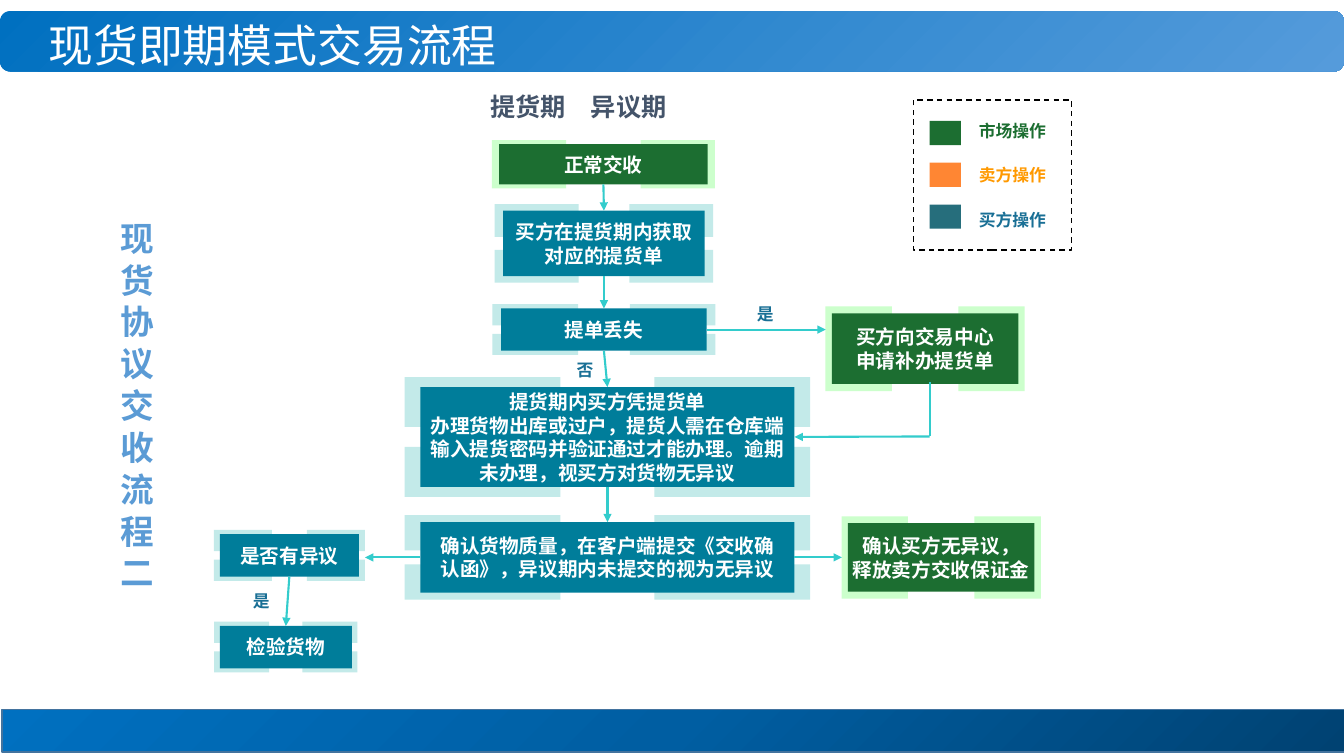
from dataclasses import dataclass
from typing import Optional, Union

from lxml.etree import SubElement
from pptx import Presentation
from pptx.dml.color import RGBColor
from pptx.enum.dml import MSO_LINE
from pptx.enum.shapes import MSO_CONNECTOR, MSO_SHAPE
from pptx.enum.text import MSO_ANCHOR as Anchor, PP_ALIGN as Align
from pptx.oxml import parse_xml
from pptx.oxml.ns import nsdecls, qn
from pptx.util import Inches, Pt

# The grid: cells of a tenth of an inch
CELL = Inches(0.1)
COLUMNS, ROWS = 133.3, 75
FONT = "Noto Sans CJK SC"
WHITE, ARROW, BLUE_LABEL = "FFFFFF", "33CCCC", "196F95"
TOP, LEFT, BOTTOM, RIGHT = range(4)


@dataclass(frozen=True)
class Role:
    fill: str
    halo: str
    pad: float  # halo overhang, share of the box width
    strip_width: float  # share of the halo width
    strip_height: float  # share of the halo height


MARKET = Role("1C6E31", "CCFFCC", 0.034, 1 / 3, 1)
BUYER = Role("007D9A", "C3EAE9", 0.042, 0.384, 5 / 12)


@dataclass(frozen=True)
class Step:
    name: str
    role: Role
    column: float
    row: float
    columns: float
    rows: float
    text: str


@dataclass(frozen=True)
class Joint:
    step: str
    side: int


@dataclass(frozen=True)
class Point:
    column: float
    row: float


@dataclass(frozen=True)
class Link:
    start: Union[Joint, Point]
    end: Union[Joint, Point]
    arrow: bool = True


@dataclass(frozen=True)
class Label:
    column: float
    row: float
    columns: float
    rows: float
    text: str
    size: float
    color: str
    bold: bool = True


STEPS = [
    Step("deliver", MARKET, 49.5, 14.3, 20.7, 4, "正常交收"),
    Step("slip", BUYER, 49.9, 20.9, 20, 6.5, "买方在提货期内获取\n对应的提货单"),
    Step("lost", BUYER, 49.7, 30.6, 20.4, 4.2, "提单丢失"),
    Step("reissue", MARKET, 82.5, 31.1, 18.5, 7, "买方向交易中心\n申请补办提货单"),
    Step("pickup", BUYER, 41.7, 38.4, 37.1, 9.9,
         "提货期内买方凭提货单\n办理货物出库或过户，提货人需在仓库端\n"
         "输入提货密码并验证通过才能办理。逾期\n未办理，视买方对货物无异议"),
    Step("confirm", BUYER, 41.7, 51.8, 37.1, 7,
         "确认货物质量，在客户端提交《交收确\n认函》，异议期内未提交的视为无异议"),
    Step("release", MARKET, 84.1, 51.9, 18.5, 6.8, "确认买方无异议，\n释放卖方交收保证金"),
    Step("objection", BUYER, 21.8, 53, 13.8, 4.2, "是否有异议"),
    Step("inspect", BUYER, 21.8, 62.1, 13.1, 4.2, "检验货物"),
]
CORNER = Point(92.2, 43.3)
LINKS = [
    *(Link(Joint(first, BOTTOM), Joint(second, TOP)) for first, second in [
        ("deliver", "slip"), ("slip", "lost"), ("lost", "pickup"),
        ("pickup", "confirm"), ("objection", "inspect")]),
    Link(Joint("lost", RIGHT), Point(81.9, 32.7)),
    Link(Joint("confirm", RIGHT), Point(83.5, 55.3)),
    Link(Joint("confirm", LEFT), Point(36.2, 55.3)),
    Link(Point(CORNER.column, 37.9), CORNER, arrow=False),
    Link(CORNER, Joint("pickup", RIGHT)),
]
ANSWERS = [("是", 74.1, 29.6), ("是", 24.1, 58.1), ("否", 56.2, 35.2)]
LEGEND = [("市场操作", "1C6E31", "1C6E31"), ("卖方操作", "FF8633", "FF9900"),
          ("买方操作", "266E7C", BLUE_LABEL)]


def cells(*counts: float) -> list[int]:
    return [round(count * CELL) for count in counts]


def rgb(color: str) -> RGBColor:
    return RGBColor.from_string(color)


def write(shape, text: str, size: float, color: str, bold: bool = True,
          align=Align.LEFT, wrap: bool = False) -> None:
    frame = shape.text_frame
    frame.word_wrap = wrap
    frame.text = text
    for paragraph in frame.paragraphs:
        paragraph.alignment = align
        paragraph.line_spacing = Pt(1.2 * size)
        font = paragraph.font
        font.size, font.bold, font.name = Pt(size), bold, FONT
        font.color.rgb = rgb(color)
        defaults = paragraph._p.pPr.find(qn("a:defRPr"))
        SubElement(defaults, qn("a:ea")).set("typeface", FONT)


def add_box(shapes, column: float, row: float, columns: float, rows: float,
            fill: Optional[str] = None, preset=MSO_SHAPE.RECTANGLE):
    shape = shapes.add_shape(preset, *cells(column, row, columns, rows))
    shape.shadow.inherit = False
    shape.line.fill.background()
    if fill:
        shape.fill.solid()
        shape.fill.fore_color.rgb = rgb(fill)
    return shape


def add_label(shapes, label: Label, wrap: bool = False):
    box = shapes.add_textbox(*cells(label.column, label.row, label.columns, label.rows))
    write(box, label.text, label.size, label.color, label.bold, wrap=wrap)
    return box


def fill_gradient(shape, stops: list[tuple[int, str]], direction: str) -> None:
    marks = "".join(f'<a:gs pos="{share * 1000}"><a:srgbClr val="{color}"/></a:gs>'
                    for share, color in stops)
    shape._element.spPr.insert(2, parse_xml(
        f'<a:gradFill {nsdecls("a")} rotWithShape="1"><a:gsLst>{marks}</a:gsLst>'
        f"{direction}</a:gradFill>"))


def add_step(shapes, step: Step):
    role = step.role
    pad_x, pad_y = step.columns * role.pad, step.rows * 0.1
    halo_width, halo_height = step.columns + 2 * pad_x, step.rows + 2 * pad_y
    width, height = halo_width * role.strip_width, halo_height * role.strip_height
    # Halo strips: two full-height sides or four corners
    for x in (0, halo_width - width):
        for y in sorted({0, halo_height - height}):
            add_box(shapes, step.column - pad_x + x, step.row - pad_y + y,
                    width, height, role.halo)
    box = add_box(shapes, step.column, step.row, step.columns, step.rows, role.fill)
    box.text_frame.vertical_anchor = Anchor.MIDDLE
    write(box, step.text, 14, WHITE, align=Align.CENTER)
    return box


def add_link(shapes, link: Link, boxes: dict) -> None:
    line = shapes.add_connector(MSO_CONNECTOR.STRAIGHT, 0, 0, 0, 0)
    if isinstance(link.start, Joint):
        line.begin_connect(boxes[link.start.step], link.start.side)
    else:
        line.begin_x, line.begin_y = cells(link.start.column, link.start.row)
    if isinstance(link.end, Joint):
        line.end_connect(boxes[link.end.step], link.end.side)
    else:
        line.end_x, line.end_y = cells(link.end.column, link.end.row)
    line.line.color.rgb = rgb(ARROW)
    line.line.width = Pt(1.5)
    if link.arrow:
        SubElement(line.line._get_or_add_ln(), qn("a:tailEnd")).set("type", "triangle")
    SubElement(line._element.spPr, qn("a:effectLst"))


def main() -> None:
    presentation = Presentation()
    presentation.slide_width, presentation.slide_height = cells(COLUMNS, ROWS)
    shapes = presentation.slides.add_slide(presentation.slide_layouts[6]).shapes

    # Title band and footer band
    band = add_box(shapes, 0, 1.1, COLUMNS, 6, preset=MSO_SHAPE.ROUNDED_RECTANGLE)
    fill_gradient(band, [(0, "0070C0"), (100, "559BDB")], '<a:lin ang="2700000" scaled="0"/>')
    title = add_label(shapes, Label(3.4, 0.6, 94.3, 7.6, "现货即期模式交易流程", 32, WHITE, False), True)
    frame = title.text_frame
    frame.vertical_anchor = Anchor.MIDDLE
    frame.margin_left = frame.margin_right = Inches(0.14)
    frame.margin_top = frame.margin_bottom = 0
    footer = add_box(shapes, 0.2, 70.4, COLUMNS, 4.2)
    footer.line.color.rgb = rgb("43739E")
    footer.line.width = Pt(1)
    fill_gradient(footer, [(0, "004272"), (50, "005EA2"), (100, "0070C0")],
                  '<a:path path="circle"><a:fillToRect l="100000" t="100000"/></a:path>')

    # Vertical caption and period heading
    caption = add_label(shapes, Label(9.9, 20.7, 6.1, 41.2, "现 货 协 议 交 收 流 程 二", 24, "5B9BD5"), True)
    caption.text_frame._txBody.bodyPr.set("vert", "eaVert")
    caption.text_frame.margin_top = Inches(0.13)
    periods = shapes.add_textbox(*cells(37.9, 8.6, 41.1, 4))
    periods.text_frame.margin_left = Inches(1.07)
    properties = periods.text_frame.paragraphs[0]._p.get_or_add_pPr()
    tab = SubElement(SubElement(properties, qn("a:tabLst")), qn("a:tab"))
    tab.set("pos", str(Inches(1.21)))
    tab.set("algn", "l")
    write(periods, "提货期\t异议期", 18, "44546A", wrap=True)

    # Legend
    border = add_box(shapes, 90.6, 9.9, 15.7, 14.9)
    border.fill.background()
    border.line.color.rgb = rgb("000000")
    border.line.width = Pt(1)
    border.line.dash_style = MSO_LINE.DASH
    for index, (text, fill, color) in enumerate(LEGEND):
        add_box(shapes, 92.2, 12 + 4.15 * index, 3.1, 2.4, fill)
        add_label(shapes, Label(96.1, 11.5 + 4.4 * index, 8.8, 3, text, 12, color))

    # Flow chart
    boxes = {step.name: add_step(shapes, step) for step in STEPS}
    for link in LINKS:
        add_link(shapes, link, boxes)
    for text, column, row in ANSWERS:
        add_label(shapes, Label(column, row, 3.7, 3, text, 12, BLUE_LABEL))

    presentation.save("out.pptx")


if __name__ == "__main__":
    main()
